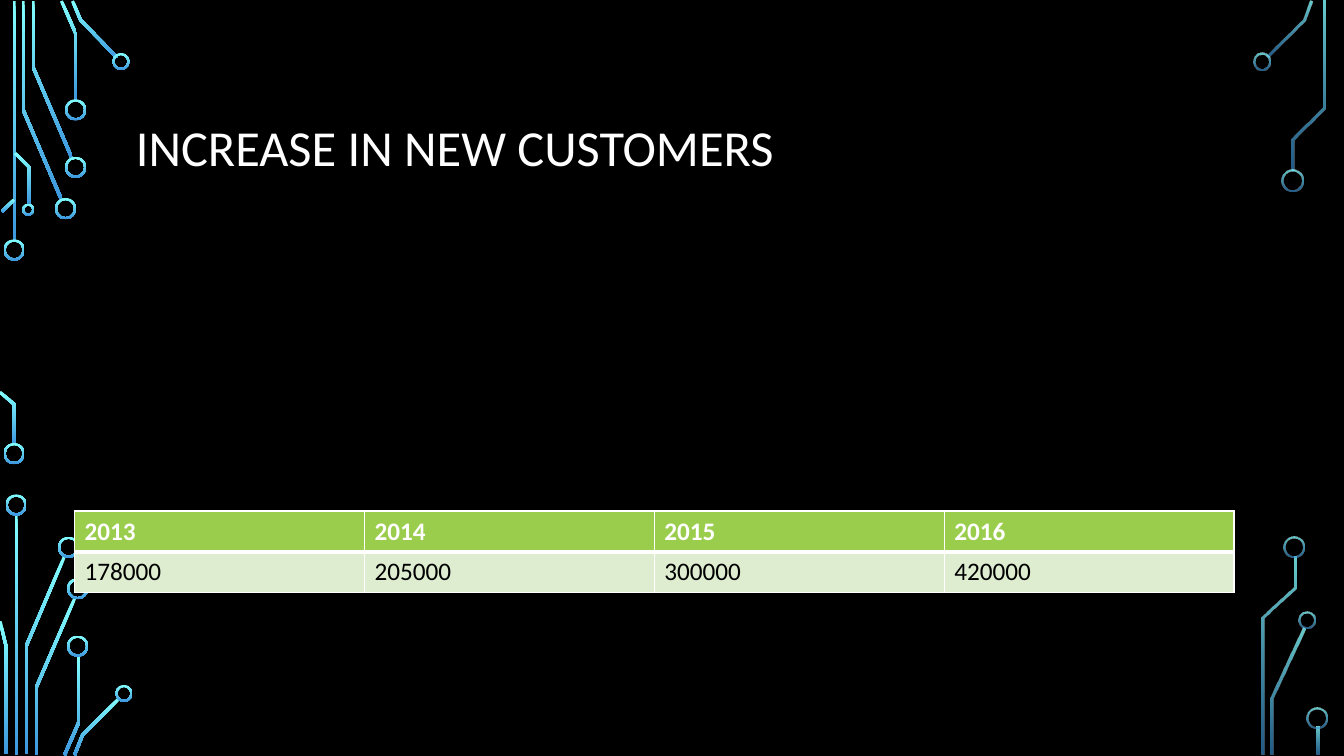
import math

import pptx
import pptx.dml.color
import pptx.enum.shapes
import pptx.enum.text
import pptx.oxml.ns
import pptx.util
from lxml import etree

Inches = pptx.util.Inches

TITLE = "INCREASE IN NEW CUSTOMERS"
CUSTOMERS = [
    ("2013", "2014", "2015", "2016"),
    ("178000", "205000", "300000", "420000"),
]
ROW_STYLES = [
    dict(fill="9ACD4C", color="FFFFFF", bold=True, top=1, bottom=3),
    dict(fill="DEEDD0", color="000000", bold=False, top=3, bottom=1),
]
FONT = "Calibri"
GLOW = ("82FFFF", "3D97DE")
TRACE_WIDTH = 0.03
RING_WIDTH = 0.02

# Traces are centre lines of (x, y); rings are (centre x, centre y, diameter).
CIRCUITS = [
    dict(
        opacity=(100, 100),
        traces=[
            [(0.14, 0.01), (0.14, 2.4)],
            [(0.23, 0.01), (0.23, 1.09), (0.61, 1.98)],
            [(0.33, 0.01), (0.33, 0.67), (0.71, 1.56)],
            [(0.61, 0.01), (0.75, 0.33), (0.75, 1)],
            [(0.72, 0.01), (0.8, 0.2), (1.16, 0.57)],
            [(0.14, 1.98), (0.02, 2.1)],
            [(0, 3.89), (0.14, 4.01), (0.14, 4.41)],
            [(0.15, 1.52), (0.29, 1.66), (0.29, 2.03)],
            [(0.16, 5.1), (0.16, 7.49)],
            [(0.26, 7.48), (0.26, 6.41), (0.64, 5.52)],
            [(0.06, 7.48), (0.06, 6.41), (0, 6.16)],
            [(0.36, 7.49), (0.36, 6.82), (0.74, 5.94)],
            [(0.64, 7.49), (0.78, 7.17), (0.78, 6.5)],
            [(0.74, 7.49), (0.82, 7.29), (1.18, 6.93)],
        ],
        rings=[
            (0.14, 2.48, 0.21), (0.14, 4.5, 0.21), (0.65, 2.07, 0.21),
            (0.75, 1.66, 0.21), (0.75, 1.09, 0.21), (1.2, 0.61, 0.17),
            (0.28, 2.08, 0.12), (0.16, 5.01, 0.21), (0.68, 5.43, 0.21),
            (0.77, 5.84, 0.21), (0.77, 6.41, 0.21), (1.23, 6.88, 0.17),
        ],
    ),
    dict(
        opacity=(80, 60),
        traces=[
            [(13, 0.01), (12.93, 0.2), (12.57, 0.56)],
            [(12.62, 7.49), (12.62, 6.93), (12.93, 6.23)],
            [(13.13, 0.01), (13.13, 1.07), (12.82, 1.38), (12.82, 1.69)],
            [(12.53, 7.49), (12.53, 6.13), (12.84, 5.83), (12.84, 5.52)],
            [(13.07, 7.21), (13.07, 7.49)],
        ],
        rings=[
            (12.52, 0.61, 0.17), (12.82, 1.79, 0.21), (12.96, 6.15, 0.17),
            (12.83, 5.43, 0.21), (13.06, 7.12, 0.21),
        ],
    ),
]


def rgb(value):
    return pptx.dml.color.RGBColor.from_string(value)


def write(frame, text, size, color, bold=False, line_spacing=None):
    paragraph = frame.paragraphs[0]
    paragraph.line_spacing = line_spacing
    run = paragraph.add_run()
    run.text = text
    run.font.name = FONT
    run.font.size = pptx.util.Pt(size)
    run.font.bold = bold
    run.font.color.rgb = rgb(color)


def glow(shape, opacity):
    """Fill a shape from top to bottom, without outline or shadow."""
    shape.shadow.inherit = False
    shape.line.fill.background()
    shape.fill.gradient()
    shape.fill.gradient_angle = 270
    for stop, color in zip(shape.fill.gradient_stops, GLOW):
        stop.color.rgb = rgb(color)
    if min(opacity) < 100:
        colors = list(shape._element.spPr.iter(pptx.oxml.ns.qn("a:srgbClr")))
        for color, percent in zip(colors, opacity):
            etree.SubElement(color, pptx.oxml.ns.qn("a:alpha"), val=str(percent * 1000))


def trace_side(points, offset):
    """Shift a centre line sideways, with mitred corners, and give it in EMU."""
    normals = []
    for (x1, y1), (x2, y2) in zip(points, points[1:]):
        length = math.hypot(x2 - x1, y2 - y1)
        normals.append(((y1 - y2) / length, (x2 - x1) / length))
    side = []
    for (x, y), (ax, ay), (bx, by) in zip(points, normals[:1] + normals, normals + normals[-1:]):
        scale = offset / (1 + ax * bx + ay * by)
        side.append((Inches(x + (ax + bx) * scale), Inches(y + (ay + by) * scale)))
    return side


def add_trace(slide, points, opacity):
    half = TRACE_WIDTH / 2
    outline = trace_side(points, half) + trace_side(points, -half)[::-1]
    builder = slide.shapes.build_freeform(*outline[0])
    builder.add_line_segments(outline[1:], close=True)
    glow(builder.convert_to_shape(), opacity)


def add_ring(slide, x, y, diameter, opacity):
    ring = slide.shapes.add_shape(
        pptx.enum.shapes.MSO_SHAPE.DONUT,
        Inches(x - diameter / 2), Inches(y - diameter / 2), Inches(diameter), Inches(diameter),
    )
    ring.adjustments[0] = RING_WIDTH / diameter
    glow(ring, opacity)


def add_border(cell, side, width):
    line = etree.SubElement(
        cell._tc.get_or_add_tcPr(), pptx.oxml.ns.qn(f"a:ln{side}"), w=str(pptx.util.Pt(width))
    )
    fill = etree.SubElement(line, pptx.oxml.ns.qn("a:solidFill"))
    etree.SubElement(fill, pptx.oxml.ns.qn("a:srgbClr"), val="FFFFFF")


def add_customers(slide):
    table = slide.shapes.add_table(
        len(CUSTOMERS), len(CUSTOMERS[0]), Inches(0.74), Inches(5.07), Inches(11.5), Inches(0.81)
    ).table
    for r, (values, style) in enumerate(zip(CUSTOMERS, ROW_STYLES)):
        for c, value in enumerate(values):
            cell = table.cell(r, c)
            widths = dict(L=1, R=1, T=style["top"], B=style["bottom"])
            for side, width in widths.items():
                add_border(cell, side, width)
            cell.fill.solid()
            cell.fill.fore_color.rgb = rgb(style["fill"])
            write(cell.text_frame, value, 18, style["color"], bold=style["bold"])


def main():
    deck = pptx.Presentation()
    deck.slide_width, deck.slide_height = Inches(13.33), Inches(7.5)
    slide = deck.slides.add_slide(deck.slide_layouts[6])
    slide.background.fill.solid()
    slide.background.fill.fore_color.rgb = rgb("000000")

    for circuit in CIRCUITS:
        for points in circuit["traces"]:
            add_trace(slide, points, circuit["opacity"])
        for ring in circuit["rings"]:
            add_ring(slide, *ring, circuit["opacity"])

    title = slide.shapes.add_textbox(Inches(1.25), Inches(0.68), Inches(10.83), Inches(1.62))
    title.text_frame.word_wrap = True
    title.text_frame.vertical_anchor = pptx.enum.text.MSO_ANCHOR.MIDDLE
    write(title.text_frame, TITLE, 36, "FFFFFF", line_spacing=0.9)

    add_customers(slide)
    deck.save("out.pptx")


if __name__ == "__main__":
    main()
